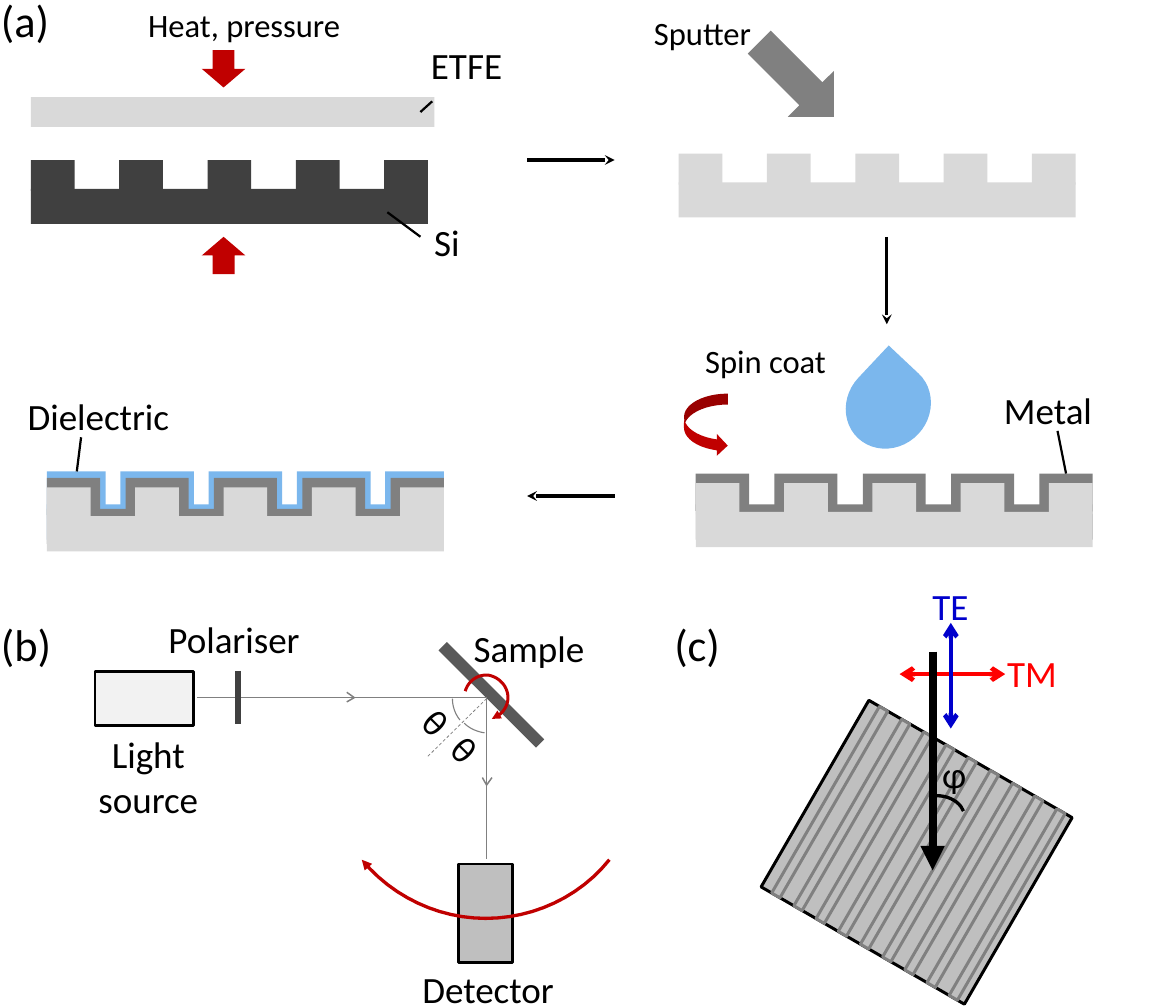
from dataclasses import dataclass
from math import cos, radians, sin
from typing import Optional

from lxml.etree import SubElement
from pptx import Presentation
from pptx.dml.color import RGBColor
from pptx.enum.dml import MSO_LINE
from pptx.enum.shapes import MSO_CONNECTOR, MSO_SHAPE
from pptx.enum.text import MSO_AUTO_SIZE, PP_ALIGN
from pptx.oxml.ns import qn
from pptx.util import Inches, Pt


@dataclass(frozen=True)
class Theme:
    font: str = "Calibri"
    step: int = 22
    label: int = 25
    panel: int = 30
    black: str = "000000"
    white: str = "FFFFFF"
    silicon: str = "404040"
    polymer: str = "D9D9D9"
    metal: str = "808080"
    dielectric: str = "7BB7ED"
    dark_red: str = "C00000"
    lamp: str = "F2F2F2"
    sample: str = "595959"
    plate: str = "BFBFBF"
    tm: str = "FF0000"
    te: str = "0000CC"


THEME = Theme()


@dataclass
class Block:
    kind: MSO_SHAPE
    left: float
    top: float
    width: float
    height: float
    fill: Optional[str] = None
    line: Optional[str] = None
    weight: float = 2
    turn: float = 0


@dataclass
class Layer:
    """A coating: how far it grows sideways, above the teeth and above the floor."""
    color: str
    side: float = 0
    rise: float = 0
    floor: float = 0
    depth: float = 0.29


@dataclass
class Grating:
    left: float
    top: float
    layers: list[Layer]


@dataclass
class Rule:
    start: tuple[float, float]
    end: tuple[float, float]
    color: str = THEME.black
    weight: float = 1.5
    head: Optional[str] = None
    tail: Optional[str] = None
    dashed: bool = False


@dataclass
class Outline:
    points: list[tuple[float, float]]
    color: str
    weight: float
    curved: bool = True
    fill: Optional[str] = None
    head: Optional[str] = None
    tail: Optional[str] = None


@dataclass
class Label:
    text: str
    left: float
    top: float
    width: float
    height: float = 0.52
    size: int = THEME.label
    color: str = THEME.black
    turn: float = 0
    align: PP_ALIGN = PP_ALIGN.LEFT


def paint(shape, fill: Optional[str], line: Optional[str], weight: float) -> None:
    shape.shadow.inherit = False
    if fill:
        shape.fill.solid()
        shape.fill.fore_color.rgb = RGBColor.from_string(fill)
    else:
        shape.fill.background()
    if line:
        shape.line.color.rgb = RGBColor.from_string(line)
        shape.line.width = Pt(weight)
    else:
        shape.line.fill.background()


def add_arrowheads(shape, head: Optional[str], tail: Optional[str]) -> None:
    outline = shape.element.spPr.find(qn("a:ln"))
    for tag, style in (("a:headEnd", head), ("a:tailEnd", tail)):
        if style:
            SubElement(outline, qn(tag)).set("type", style)


def draw_block(shapes, block: Block):
    box = (block.left, block.top, block.width, block.height)
    shape = shapes.add_shape(block.kind, *map(Inches, box))
    paint(shape, block.fill, block.line, block.weight)
    shape.rotation = block.turn
    return shape


def draw_grating(page, grating: Grating) -> None:
    width, tooth, teeth = 3.72, 0.41, 5
    pitch = (width - tooth) / (teeth - 1)
    right = grating.left + width
    shapes = page.shapes.add_group_shape().shapes
    for layer in grating.layers:
        floor = grating.top + 0.27 - layer.floor
        draw_block(shapes, Block(MSO_SHAPE.RECTANGLE, grating.left, floor, width, 0.33, layer.color))
        for index in range(teeth):
            center = grating.left + tooth / 2 + index * pitch
            reach = tooth / 2 + layer.side
            start, end = max(grating.left, center - reach), min(right, center + reach)
            draw_block(shapes, Block(MSO_SHAPE.RECTANGLE, start, grating.top - layer.rise,
                                     end - start, layer.depth, layer.color))


def draw_rule(page, rule: Rule) -> None:
    connector = page.shapes.add_connector(
        MSO_CONNECTOR.STRAIGHT, *map(Inches, rule.start + rule.end))
    connector.line.color.rgb = RGBColor.from_string(rule.color)
    connector.line.width = Pt(rule.weight)
    if rule.dashed:
        connector.line.dash_style = MSO_LINE.DASH
    add_arrowheads(connector, rule.head, rule.tail)
    SubElement(connector.element.spPr, qn("a:effectLst"))


def bezier(points: list[tuple[float, float]], steps: int = 12) -> list[tuple[float, float]]:
    curve = [points[0]]
    for first in range(0, len(points) - 1, 3):
        controls = points[first:first + 4]
        for step in range(1, steps + 1):
            t = step / steps
            weights = ((1 - t) ** 3, 3 * t * (1 - t) ** 2, 3 * t * t * (1 - t), t ** 3)
            curve.append(tuple(sum(w * p[axis] for w, p in zip(weights, controls))
                               for axis in (0, 1)))
    return curve


def draw_outline(page, outline: Outline) -> None:
    points = bezier(outline.points) if outline.curved else outline.points
    spots = [(Inches(x), Inches(y)) for x, y in points]
    builder = page.shapes.build_freeform(*spots[0])
    builder.add_line_segments(spots[1:], close=False)
    shape = builder.convert_to_shape()
    paint(shape, outline.fill, outline.color, outline.weight)
    add_arrowheads(shape, outline.head, outline.tail)


def draw_label(page, label: Label) -> None:
    box = page.shapes.add_textbox(*map(Inches, (label.left, label.top, label.width, label.height)))
    box.rotation = label.turn
    frame = box.text_frame
    frame.word_wrap = True
    frame.auto_size = MSO_AUTO_SIZE.SHAPE_TO_FIT_TEXT
    para = frame.paragraphs[0]
    para.text = label.text
    para.alignment = label.align
    para.font.name = THEME.font
    para.font.size = Pt(label.size)
    para.font.color.rgb = RGBColor.from_string(label.color)


BARE = Layer(THEME.polymer)
METAL = Layer(THEME.metal, 0.09, 0.09, 0.07, 0.35)
DIELECTRIC = Layer(THEME.dielectric, 0.14, 0.15, 0.11, 0.35)
GRATINGS = [
    Grating(0.29, 1.5, [Layer(THEME.silicon)]),
    Grating(6.36, 1.44, [BARE]),
    Grating(6.52, 4.53, [METAL, BARE]),
    Grating(0.44, 4.57, [DIELECTRIC, METAL, BARE]),
]
BLOCKS = [
    # Fabrication steps
    Block(MSO_SHAPE.RECTANGLE, 0.29, 0.91, 3.78, 0.28, THEME.polymer),
    Block(MSO_SHAPE.DOWN_ARROW, 1.89, 0.47, 0.41, 0.35, THEME.dark_red),
    Block(MSO_SHAPE.DOWN_ARROW, 1.89, 2.22, 0.41, 0.35, THEME.dark_red, turn=180),
    Block(MSO_SHAPE.DOWN_ARROW, 7.16, 0.25, 0.61, 0.99, THEME.metal, turn=315),
    Block(MSO_SHAPE.TEAR, 7.91, 3.42, 0.83, 0.77, THEME.dielectric, turn=313.2),
    Block(MSO_SHAPE.CURVED_RIGHT_ARROW, 6.41, 3.69, 0.41, 0.59, THEME.dark_red),
    # Optical bench
    Block(MSO_SHAPE.RECTANGLE, 0.89, 6.3, 0.92, 0.5, THEME.lamp, THEME.black),
    Block(MSO_SHAPE.RECTANGLE, 3.96, 6.46, 1.29, 0.11, THEME.sample, turn=45),
    Block(MSO_SHAPE.RECTANGLE, 4.09, 8.31, 0.92, 0.5, THEME.plate, THEME.black, turn=90),
    # Rotated grating plate
    Block(MSO_SHAPE.RECTANGLE, 7.49, 6.98, 2.2, 2.02, THEME.plate, THEME.black, turn=30),
]
TILT, GROOVE_PITCH = radians(30), 0.24
BLOCKS += [
    Block(MSO_SHAPE.RECTANGLE, 7.73 + i * GROOVE_PITCH * cos(TILT), 6.51 + i * GROOVE_PITCH * sin(TILT),
          0.09, 2.02, THEME.plate, THEME.metal, turn=30) for i in range(9)
]
RULES = [
    # Step arrows
    Rule((4.94, 1.5), (5.76, 1.5), weight=2.25, tail="stealth"),
    Rule((5.76, 4.65), (4.94, 4.65), weight=2.25, tail="stealth"),
    Rule((8.31, 2.22), (8.31, 3.04), weight=2.25, tail="stealth"),
    # Leader lines
    Rule((3.94, 1.05), (4.05, 0.95)),
    Rule((3.63, 1.99), (3.94, 2.22)),
    Rule((9.99, 4.44), (9.91, 4.04)),
    Rule((0.72, 4.42), (0.76, 4.1)),
    # Beam, polariser and surface normal
    Rule((1.85, 6.54), (4.56, 6.54), THEME.metal, 1),
    Rule((2.23, 6.29), (2.23, 6.79), THEME.silicon, 4.5),
    Rule((4.56, 6.54), (4.56, 8.05), THEME.metal, 1),
    Rule((4.01, 7.09), (4.57, 6.54), THEME.metal, 0.5, dashed=True),
    # Polarisation axes and incident beam
    Rule((8.43, 6.32), (9.42, 6.32), THEME.tm, 3, "arrow", "arrow"),
    Rule((8.91, 6.83), (8.91, 5.84), THEME.te, 3, "arrow", "arrow"),
    Rule((8.74, 6.11), (8.74, 8.16), weight=5.5, tail="triangle"),
]
OUTLINES = [
    # Rotation of sample and detector
    Outline([(4.61, 6.74), (4.7, 6.71), (4.77, 6.62), (4.76, 6.52), (4.75, 6.43), (4.68, 6.35),
             (4.58, 6.33), (4.48, 6.32), (4.39, 6.38), (4.36, 6.48)],
            THEME.dark_red, 2, head="triangle"),
    Outline([(5.71, 8.06), (5.43, 8.41), (5, 8.61), (4.55, 8.61), (4.11, 8.61), (3.68, 8.41),
             (3.39, 8.06)], THEME.dark_red, 2.25, tail="triangle"),
    # Beam direction marks
    Outline([(4.52, 7.29), (4.56, 7.36), (4.61, 7.29)], THEME.metal, 1, curved=False),
    Outline([(3.25, 6.58), (3.32, 6.54), (3.25, 6.49)], THEME.metal, 1, curved=False),
    # Angle marks
    Outline([(4.31, 6.75), (4.27, 6.7), (4.24, 6.63), (4.24, 6.55)], THEME.metal, 0.75, fill=THEME.white),
    Outline([(4.54, 6.87), (4.47, 6.86), (4.4, 6.83), (4.35, 6.78)], THEME.metal, 0.75, fill=THEME.white),
]
LABELS = [
    Label("(a)", -0.09, -0.11, 1.02, 0.91, THEME.panel),
    Label("(b)", -0.09, 5.74, 0.68, 0.61, THEME.panel),
    Label("(c)", 6.22, 5.74, 0.68, 0.61, THEME.panel),
    Label("Heat, pressure", 1.29, 0, 3.45, 0.71, THEME.step),
    Label("Sputter", 6.03, 0.07, 2.43, 0.71, THEME.step),
    Label("Spin coat", 6.51, 3.15, 2.43, 0.71, THEME.step),
    Label("ETFE", 3.94, 0.35, 1.25),
    Label("Si", 3.97, 2.01, 0.95, 0.78),
    Label("Metal", 9.31, 3.58, 1.18),
    Label("Dielectric", 0.16, 3.64, 2.49, 0.78),
    Label("Light source", 0.76, 6.81, 1.26, 0.94, align=PP_ALIGN.CENTER),
    Label("Polariser", 1.48, 5.73, 1.49),
    Label("Sample", 4.34, 5.81, 1.49),
    Label("Detector", 3.86, 9.01, 1.49),
    Label("θ", 3.88, 6.55, 0.5, turn=45),
    Label("θ", 4.15, 6.81, 0.5, turn=45),
    Label("φ", 8.73, 7, 0.45, 0.42),
    Label("TM", 9.34, 6.05, 0.78, color=THEME.tm),
    Label("TE", 8.64, 5.42, 0.6, 0.42, color=THEME.te),
]


def main() -> None:
    deck = Presentation()
    deck.slide_width, deck.slide_height = Inches(11.02), Inches(9.45)
    page = deck.slides.add_slide(deck.slide_layouts[6])
    for grating in GRATINGS:
        draw_grating(page, grating)
    for block in BLOCKS:
        draw_block(page.shapes, block)
    angle = draw_block(page.shapes, Block(MSO_SHAPE.ARC, 8.52, 7.46, 0.52, 0.41, line=THEME.black, weight=2.25))
    angle.adjustments[0], angle.adjustments[1] = 162, 207.75
    for rule in RULES:
        draw_rule(page, rule)
    for outline in OUTLINES:
        draw_outline(page, outline)
    for label in LABELS:
        draw_label(page, label)
    deck.save("out.pptx")


if __name__ == "__main__":
    main()
